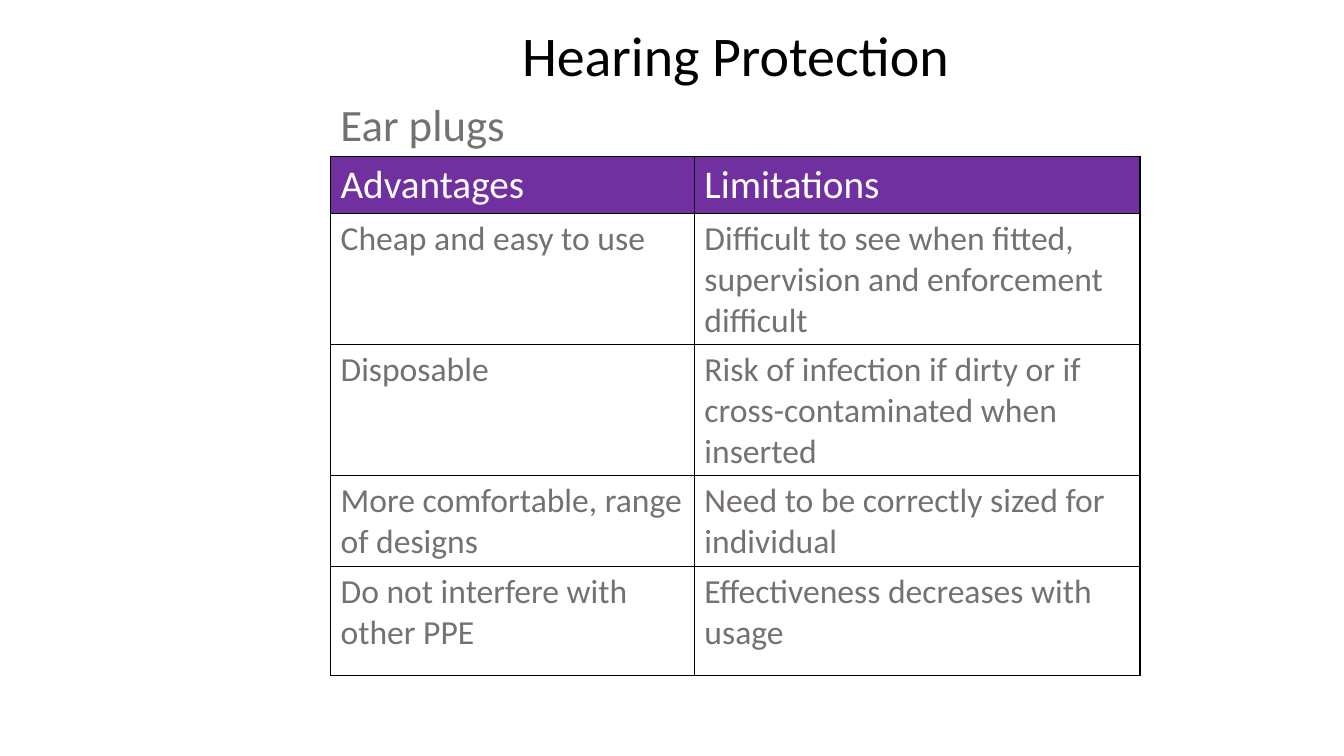
from lxml import etree
from pptx import Presentation
from pptx import util as u
from pptx.dml.color import RGBColor
from pptx.enum import text
from pptx.oxml import ns

FONT = "Calibri"
COLORS = {"title": "000000", "body": "767171", "header": "7030A0",
          "header_text": "FFFFFF", "border": "000000"}

COLUMN_WIDTHS = [9.17, 11.23]
ROW_HEIGHTS = [1.4, 3.23, 3.23, 2.24, 2.74]
# One list of paragraphs per cell
EAR_PLUGS = [
    (["Advantages"], ["Limitations"]),
    (["Cheap and easy to use"],
     ["Difficult to see when fitted, supervision and enforcement", "difficult"]),
    (["Disposable"],
     ["Risk of infection if dirty or if cross-contaminated when inserted"]),
    (["More comfortable, range of designs"],
     ["Need to be correctly sized for individual"]),
    (["Do not interfere with other PPE"],
     ["Effectiveness decreases with usage"]),
]


def write(frame, lines, size, color):
    """Put each line in its own paragraph of the text frame."""
    frame.word_wrap = True
    for index, line in enumerate(lines):
        paragraph = frame.add_paragraph() if index else frame.paragraphs[0]
        run = paragraph.add_run()
        run.text = line
        run.font.name = FONT
        run.font.size = u.Pt(size)
        run.font.color.rgb = RGBColor.from_string(COLORS[color])


def add_label(slide, box, line, size, color):
    label = slide.shapes.add_textbox(*(u.Cm(length) for length in box))
    write(label.text_frame, [line], size, color)
    return label.text_frame


def add_title(slide, box, line):
    frame = add_label(slide, box, line, 40, "title")
    frame.vertical_anchor = text.MSO_ANCHOR.MIDDLE
    frame.paragraphs[0].alignment = text.PP_ALIGN.CENTER
    frame.paragraphs[0].line_spacing = 0.9


def add_borders(cell):
    properties = cell._tc.get_or_add_tcPr()
    for side in ("lnL", "lnR", "lnT", "lnB"):
        line = etree.SubElement(properties, ns.qn(f"a:{side}"), w=str(u.Pt(1)))
        fill = etree.SubElement(line, ns.qn("a:solidFill"))
        etree.SubElement(fill, ns.qn("a:srgbClr"), val=COLORS["border"])


def add_comparison(slide, left, top, rows):
    """Draw the two-column table with its top left corner at the given point."""
    table = slide.shapes.add_table(
        len(rows), len(COLUMN_WIDTHS), u.Cm(left), u.Cm(top),
        u.Cm(sum(COLUMN_WIDTHS)), u.Cm(sum(ROW_HEIGHTS))).table
    table.first_row = False
    table.horz_banding = False
    for column, width in zip(table.columns, COLUMN_WIDTHS):
        column.width = u.Cm(width)
    for row, height in zip(table.rows, ROW_HEIGHTS):
        row.height = u.Cm(height)
    for row_index, row in enumerate(rows):
        for column_index, lines in enumerate(row):
            cell = table.cell(row_index, column_index)
            add_borders(cell)
            if row_index == 0:
                cell.fill.solid()
                cell.fill.fore_color.rgb = RGBColor.from_string(COLORS["header"])
                write(cell.text_frame, lines, 28, "header_text")
            else:
                cell.fill.background()
                write(cell.text_frame, lines, 24, "body")


def main():
    presentation = Presentation()
    presentation.slide_width = u.Cm(33.87)
    presentation.slide_height = u.Cm(19.05)
    slide = presentation.slides.add_slide(presentation.slide_layouts[6])
    add_title(slide, (7.42, 0, 22.23, 2.92), "Hearing Protection")
    add_label(slide, (8.33, 2.31, 16.08, 1.63), "Ear plugs", 32, "body")
    add_comparison(slide, 8.33, 3.94, EAR_PLUGS)
    presentation.save("out.pptx")


if __name__ == "__main__":
    main()
